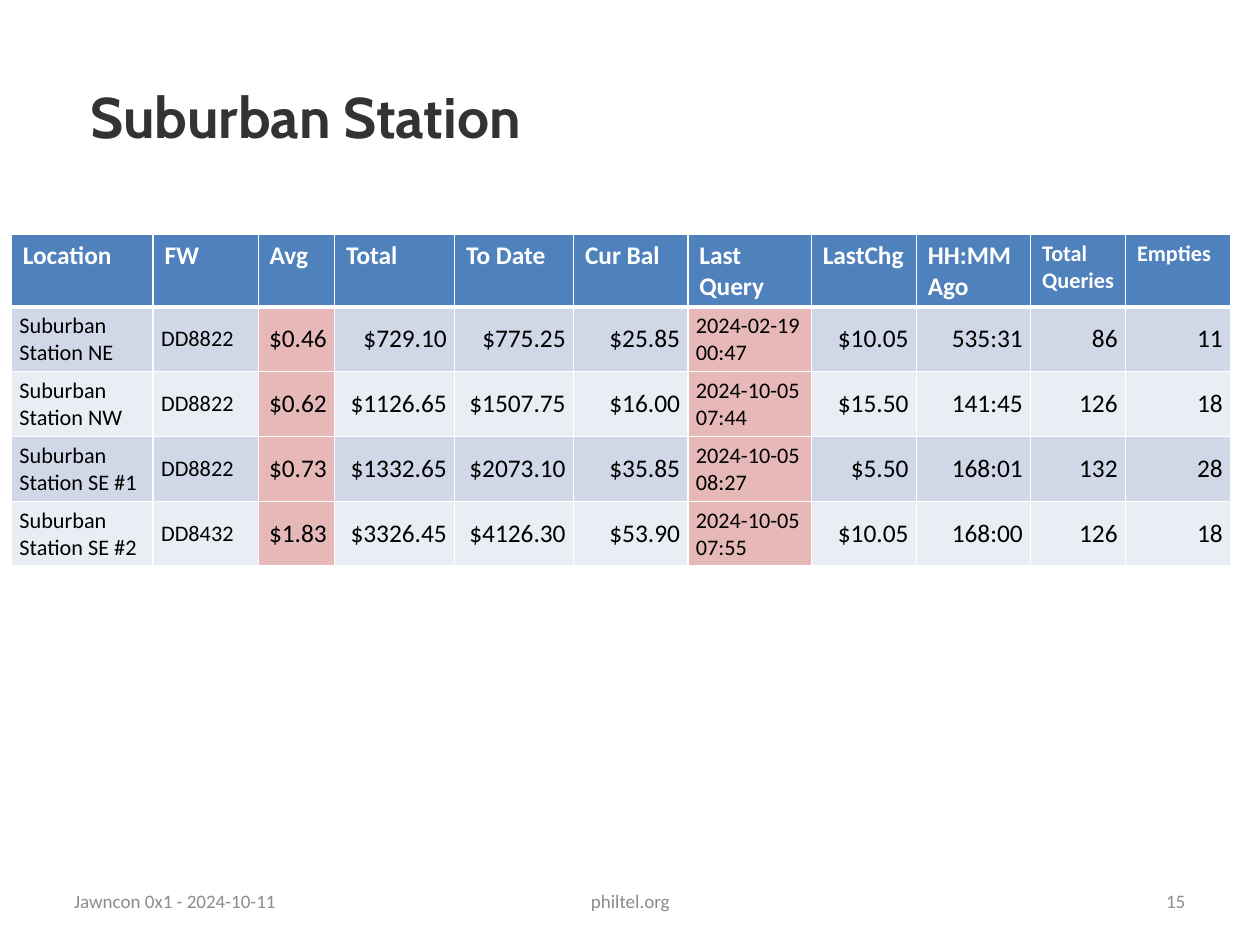
from lxml import etree
from pptx import Presentation
from pptx.dml.color import RGBColor
from pptx.enum.text import MSO_ANCHOR, PP_ALIGN
from pptx.oxml.ns import qn
from pptx.util import Emu, Inches, Pt

LEFT, CENTER, RIGHT = PP_ALIGN.LEFT, PP_ALIGN.CENTER, PP_ALIGN.RIGHT
TOP, MIDDLE = MSO_ANCHOR.TOP, MSO_ANCHOR.MIDDLE

COLORS = {
    "title": "333333",
    "footer": "8C8C8C",
    "header": "4F81BD",
    "odd": "D0D8E8",
    "even": "E9EDF4",
    "alert": "E6B9B8",
    "white": "FFFFFF",
    "black": "000000",
}

COLUMNS = [
    ("Location", 1.24), ("FW", 0.92), ("Avg", 0.67), ("Total", 1.05),
    ("To Date", 1.04), ("Cur Bal", 1), ("Last Query", 1.08),
    ("LastChg", 0.92), ("HH:MM Ago", 1), ("Total Queries", 0.83),
    ("Empties", 0.92),
]
STATIONS = [
    ("Suburban Station NE", "DD8822", "$0.46", "$729.10", "$775.25", "$25.85",
     "2024-02-19 00:47", "$10.05", "535:31", "86", "11"),
    ("Suburban Station NW", "DD8822", "$0.62", "$1126.65", "$1507.75", "$16.00",
     "2024-10-05 07:44", "$15.50", "141:45", "126", "18"),
    ("Suburban Station SE #1", "DD8822", "$0.73", "$1332.65", "$2073.10", "$35.85",
     "2024-10-05 08:27", "$5.50", "168:01", "132", "28"),
    ("Suburban Station SE #2", "DD8432", "$1.83", "$3326.45", "$4126.30", "$53.90",
     "2024-10-05 07:55", "$10.05", "168:00", "126", "18"),
]
TEXT_COLUMNS = {"Location", "FW", "Last Query"}
ALERT_COLUMNS = {"Avg", "Last Query"}
SMALL_HEADERS = {"Total Queries", "Empties"}
ROW_HEIGHT = 0.41


def write(tf, text, color, size, align=LEFT, bold=False, font="Calibri"):
    p = tf.paragraphs[0]
    p.alignment = align
    r = p.add_run()
    r.text = text
    for name, value in {"name": font, "size": Pt(size), "bold": bold}.items():
        setattr(r.font, name, value)
    r.font.color.rgb = RGBColor.from_string(COLORS[color])


def set_margins(target, x, y):
    for side, value in {"left": x, "right": x, "top": y, "bottom": y}.items():
        setattr(target, f"margin_{side}", Inches(value))


def add_text(s, text, box, margins, color, size, **style):
    tf = s.shapes.add_textbox(*map(Inches, box)).text_frame
    tf.word_wrap = True
    tf.vertical_anchor = MIDDLE
    set_margins(tf, *margins)
    write(tf, text, color, size, **style)


def set_borders(cell, widths):
    tcPr = cell._tc.get_or_add_tcPr()
    for i, (side, width) in enumerate(widths.items()):
        ln = etree.Element(qn(f"a:ln{side}"), w=str(Pt(width)))
        fill = etree.SubElement(ln, qn("a:solidFill"))
        etree.SubElement(fill, qn("a:srgbClr"), val=COLORS["white"])
        tcPr.insert(i, ln)


def format_cell(cell, text, fill, margins, anchor, borders, **style):
    cell.fill.solid()
    cell.fill.fore_color.rgb = RGBColor.from_string(COLORS[fill])
    cell.vertical_anchor = anchor
    set_margins(cell, *margins)
    write(cell.text_frame, text, **style)
    set_borders(cell, borders)


def add_station_table(s):
    width = sum(w for _, w in COLUMNS)
    rows = len(STATIONS) + 1
    table = s.shapes.add_table(
        rows, len(COLUMNS),
        Inches(0.1), Inches(2.05), Inches(width), Inches(ROW_HEIGHT * rows),
    ).table
    for row in table.rows:
        row.height = Inches(ROW_HEIGHT)
    for j, (name, col_width) in enumerate(COLUMNS):
        table.columns[j].width = Inches(col_width)
        format_cell(
            table.cell(0, j), name, "header", (0.1, 0.05), TOP,
            {"L": 1, "R": 1, "T": 1, "B": 3},
            color="white", size=14 if name in SMALL_HEADERS else 16, bold=True,
        )
        is_text = name in TEXT_COLUMNS
        for i, station in enumerate(STATIONS, 1):
            band = "odd" if i % 2 else "even"
            format_cell(
                table.cell(i, j), station[j],
                "alert" if name in ALERT_COLUMNS else band,
                (0.07, 0.05), MIDDLE,
                {"L": 1, "R": 1, "T": 3 if i == 1 else 1, "B": 1},
                color="black", size=14 if is_text else 16,
                align=LEFT if is_text else RIGHT,
            )


def add_footer(s):
    for text, left, width, align in [
        ("philtel.org", 3.77, 3.49, CENTER),
        ("15", 7.9, 2.57, RIGHT),
        ("Jawncon 0x1 - 2024-10-11", 0.55, 2.57, LEFT),
    ]:
        add_text(s, text, (left, 7.66, width, 0.44), (0.1, 0.05),
                 "footer", 12, align=align)


def main():
    prs = Presentation()
    prs.slide_width, prs.slide_height = Emu(10080625), Emu(7559675)
    s = prs.slides.add_slide(prs.slide_layouts[6])
    add_text(s, "Suburban Station", (0.79, 0.71, 9.68, 0.61), (0, 0),
             "title", 36, bold=True, font="Cabin")
    add_footer(s)
    add_station_table(s)
    prs.save("out.pptx")


if __name__ == "__main__":
    main()
